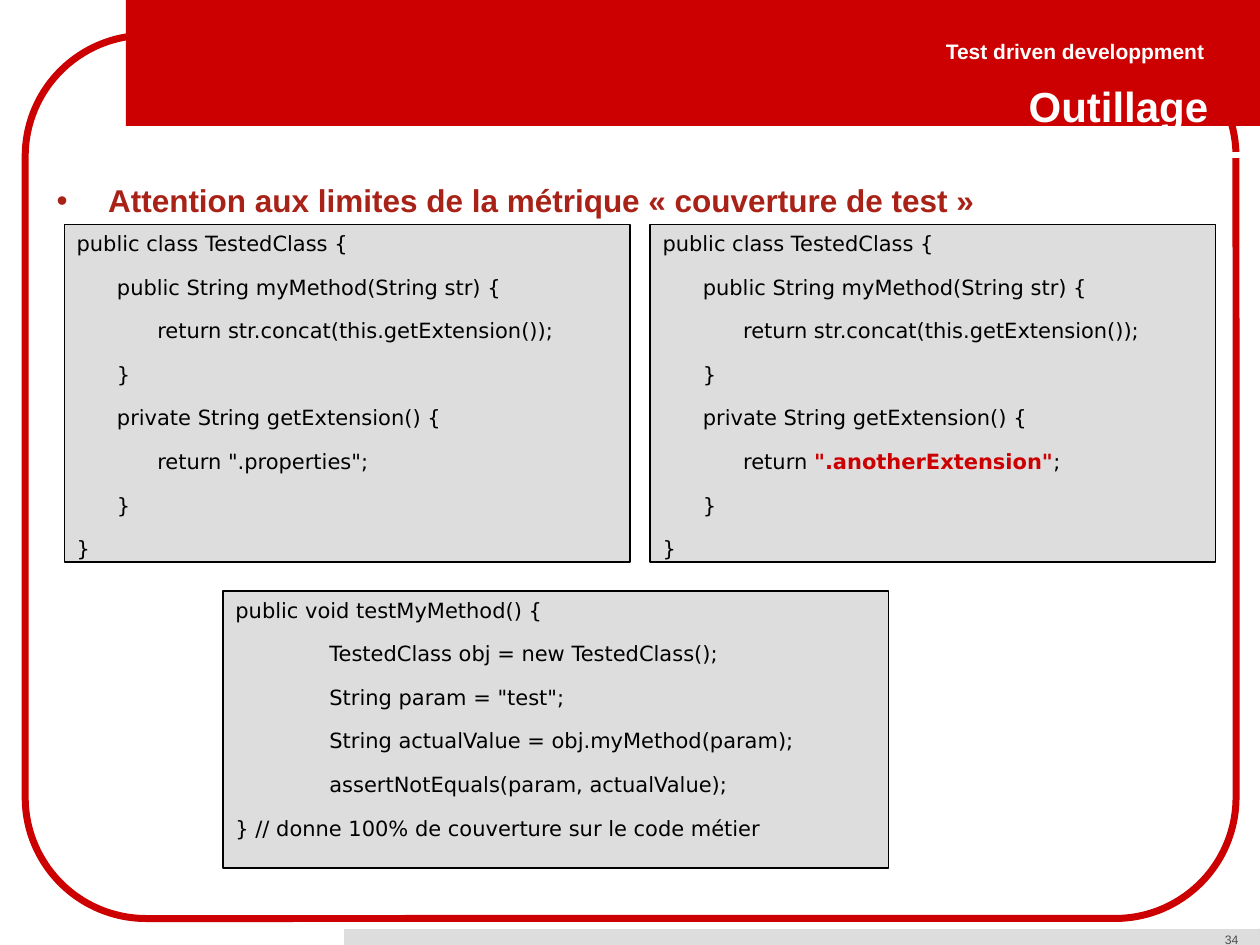
"""Build the slide about the limits of the test coverage metric."""
import math

from lxml import etree
from pptx import Presentation
from pptx.dml.color import RGBColor
from pptx.enum import shapes, text
from pptx.oxml.ns import qn
from pptx.util import Inches, Pt

RED = RGBColor(0xCC, 0x00, 0x00)
BRICK = RGBColor(0xA8, 0x22, 0x17)
WHITE = RGBColor(0xFF, 0xFF, 0xFF)
BLACK = RGBColor(0x00, 0x00, 0x00)
GREY = RGBColor(0xDD, 0xDD, 0xDD)
DARK_GREY = RGBColor(0x4D, 0x4D, 0x4D)
LEFT, RIGHT, CENTER = text.PP_ALIGN.LEFT, text.PP_ALIGN.RIGHT, text.PP_ALIGN.CENTER
CODE_INDENT = 0.32


def tested_class(*returned):
    return [
        (0, "public class TestedClass {"),
        (1, "public String myMethod(String str) {"),
        (2, "return str.concat(this.getExtension());"),
        (1, "}"),
        (1, "private String getExtension() {"),
        (2, "return ", *returned, ";"),
        (1, "}"),
        (0, "}"),
    ]


TEST_METHOD = [
    (0, "public void testMyMethod() {"),
    (2.33, "TestedClass obj = new TestedClass();"),
    (2.33, "String param = \"test\";"),
    (2.33, "String actualValue = obj.myMethod(param);"),
    (2.33, "assertNotEquals(param, actualValue);"),
    (0, "} // donne 100% de couverture sur le code métier"),
]


def write(paragraph, words, size=12, color=BLACK, bold=False, font="Arial",
          align=LEFT, before=0, after=0, spacing=None):
    paragraph.alignment = align
    paragraph.space_before, paragraph.space_after = Pt(before), Pt(after)
    paragraph.line_spacing = spacing
    run = paragraph.add_run()
    run.text = words
    run.font.name, run.font.size, run.font.bold = font, Pt(size), bold
    run.font.color.rgb = color


def set_indent(paragraph, margin, first=0.0, bullet=None, color=None):
    properties = paragraph._p.get_or_add_pPr()
    properties.set("marL", str(Inches(margin)))
    properties.set("indent", str(Inches(first)))
    if bullet:
        bullet_color = etree.SubElement(properties, qn("a:buClr"))
        etree.SubElement(bullet_color, qn("a:srgbClr"), val=str(color))
        etree.SubElement(properties, qn("a:buFont"), typeface="Arial")
        etree.SubElement(properties, qn("a:buChar"), char=bullet)


def set_frame(frame, insets=(0.1, 0.05, 0.1, 0.05)):
    frame.word_wrap = True
    frame.auto_size = text.MSO_AUTO_SIZE.NONE
    frame.vertical_anchor = text.MSO_ANCHOR.TOP
    (frame.margin_left, frame.margin_top,
     frame.margin_right, frame.margin_bottom) = map(Inches, insets)
    return frame.paragraphs[0]


def add_label(slide, box, insets=(0.1, 0.05, 0.1, 0.05)):
    label = slide.shapes.add_textbox(*map(Inches, box))
    return set_frame(label.text_frame, insets)


def style(shape, fill=None, line=None, width=0.75):
    shape.shadow.inherit = False
    if fill is None:
        shape.fill.background()
    else:
        shape.fill.solid()
        shape.fill.fore_color.rgb = fill
    if line is None:
        shape.line.fill.background()
    else:
        shape.line.color.rgb, shape.line.width = line, Pt(width)


def add_box(slide, kind, box, **look):
    shape = slide.shapes.add_shape(kind, *map(Inches, box))
    style(shape, **look)
    return shape


def add_rule(slide, start, end, width):
    rule = slide.shapes.add_connector(
        shapes.MSO_CONNECTOR.STRAIGHT, *map(Inches, start + end))
    rule.line.color.rgb, rule.line.width = WHITE, Pt(width)
    etree.SubElement(rule._element.spPr, qn("a:effectLst"))


def add_banner(slide, center=(1.34, 0.72), radius=0.67, right=10, steps=60):
    x, y = center
    angles = [math.pi * (0.5 + step / steps) for step in range(steps + 1)]
    points = [(x + radius * math.cos(a), y + radius * math.sin(a)) for a in angles]
    points += [(right, y - radius), (right, y + radius)]
    builder = slide.shapes.build_freeform(*points[0], scale=Inches(1))
    builder.add_line_segments(points[1:], close=True)
    style(builder.convert_to_shape(), fill=RED)


def add_code(slide, box, lines):
    panel = add_box(slide, shapes.MSO_SHAPE.RECTANGLE, box, fill=GREY, line=BLACK)
    paragraph = set_frame(panel.text_frame)
    for number, (level, *parts) in enumerate(lines):
        if number:
            paragraph = panel.text_frame.add_paragraph()
        set_indent(paragraph, level * CODE_INDENT)
        for part in parts:
            changed = part == "\".anotherExtension\""
            write(paragraph, part, font="DejaVu Sans", before=7.5, after=3,
                  bold=changed, color=RED if changed else BLACK)


def add_decoration(slide):
    border = add_box(slide, shapes.MSO_SHAPE.ROUNDED_RECTANGLE,
                     (0.2, 0.28, 9.61, 7.01), line=RED, width=4)
    border.adjustments[0] = 0.137
    add_banner(slide)
    add_box(slide, shapes.MSO_SHAPE.RECTANGLE, (2.72, 7.37, 7.28, 0.13), fill=GREY)
    add_rule(slide, (2.72, 7.37), (9.99, 7.37), 1)
    add_rule(slide, (2.72, 7.37), (2.72, 7.5), 1)
    add_rule(slide, (1.14, 1.23), (9.97, 1.23), 3)


def place_title(slide, words):
    title = slide.shapes.title
    title.left, title.top, title.width, title.height = map(
        Inches, (1.46, 0.6, 8.21, 0.7))
    slide.shapes._spTree.append(title._element)
    paragraph = set_frame(title.text_frame, (0.08, 0.04, 0.08, 0.04))
    write(paragraph, words, size=24, color=WHITE, bold=True, align=RIGHT, before=6)


def main():
    deck = Presentation()
    deck.slide_width, deck.slide_height = Inches(10), Inches(7.5)
    slide = deck.slides.add_slide(deck.slide_layouts[5])
    add_decoration(slide)

    course = add_label(slide, (2.58, 0.25, 7.06, 0.21), (0, 0.08, 0.08, 0))
    write(course, "Test driven developpment", color=WHITE, bold=True,
          align=RIGHT, spacing=0.9)
    place_title(slide, "Outillage")

    warning = add_label(slide, (0.35, 1.39, 9.21, 5.59))
    write(warning, "Attention aux limites de la métrique «\u00a0couverture de test\u00a0»",
          size=18, color=BRICK, bold=True, before=11.2, after=4.5)
    set_indent(warning, 0.41, -0.41, bullet="•", color=BRICK)

    add_code(slide, (0.51, 1.78, 4.49, 2.68), tested_class("\".properties\""))
    add_code(slide, (1.77, 4.69, 5.28, 2.2), TEST_METHOD)
    add_code(slide, (5.16, 1.78, 4.49, 2.68), tested_class("\".anotherExtension\""))

    page = add_label(slide, (9.59, 7.35, 0.37, 0.18), (0.02, 0.05, 0.02, 0.05))
    write(page, "34", size=7, color=DARK_GREY, align=CENTER)
    deck.save("out.pptx")


if __name__ == "__main__":
    main()
